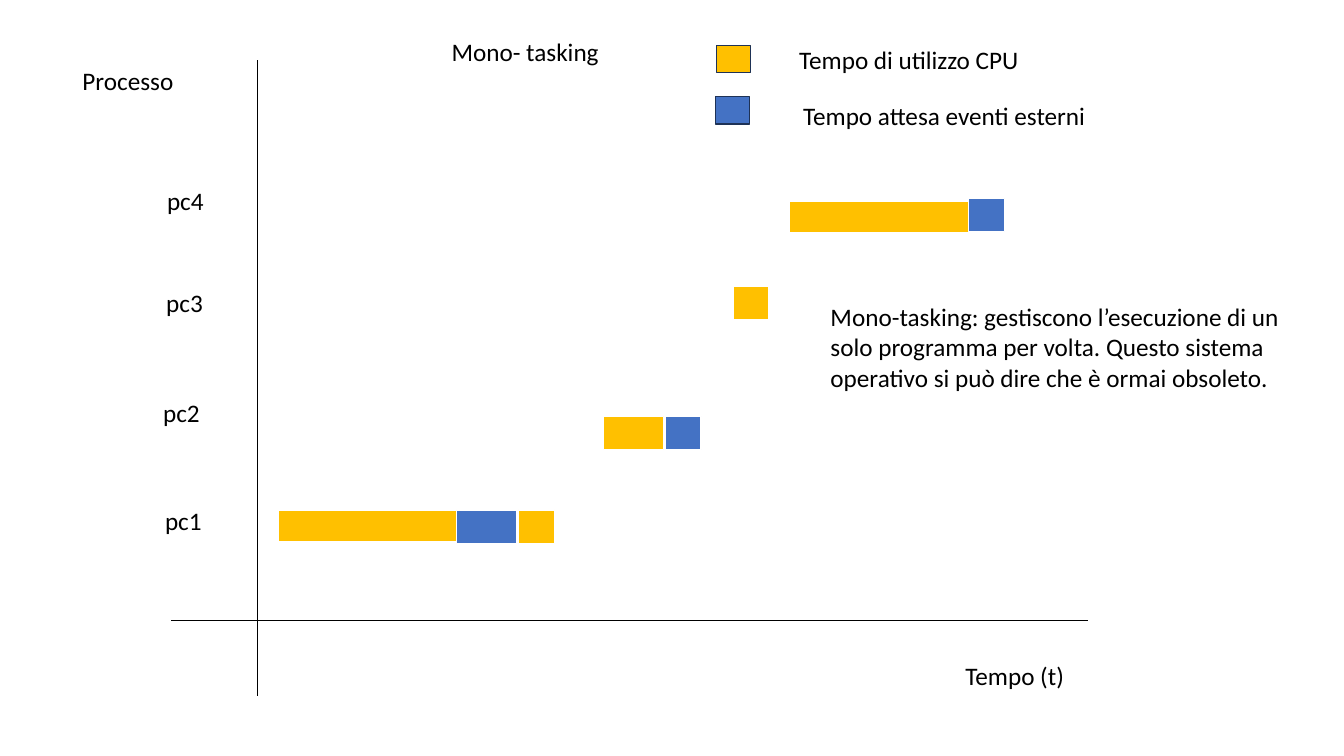
"""Timeline of four processes on a mono-tasking system."""
from dataclasses import dataclass

from lxml.etree import SubElement
from pptx import Presentation
from pptx.dml.color import RGBColor as Color
from pptx.enum.shapes import MSO_CONNECTOR as Connector, MSO_SHAPE as Preset
from pptx.enum.text import MSO_AUTO_SIZE as AutoSize
from pptx.oxml.ns import qn
from pptx.util import Cm, Pt


@dataclass(frozen=True)
class Theme:
    """Colours, font and sizes of the slide."""
    cpu: str = "FFC000"
    wait: str = "4472C4"
    ink: str = "000000"
    gap: str = "FFFFFF"
    key_edge: str = "1E3256"
    font: str = "Calibri"
    text_size: float = 18
    axis_width: float = 0.5
    edge_width: float = 1


def write(para, text, *, font, size, color):
    """Add a formatted span of text to a paragraph."""
    span = para.add_run()
    span.text = text
    span.font.name = font
    span.font.size = Pt(size)
    span.font.color.rgb = Color.from_string(color)


class Diagram:
    """Draws the elements of the timeline on one page."""

    def __init__(self, page, theme):
        """Keep the page and its style."""
        self.page = page
        self.theme = theme

    def axis(self, x1, y1, x2, y2):
        """Draw a thin straight axis."""
        line = self.page.shapes.add_connector(
            Connector.STRAIGHT, Cm(x1), Cm(y1), Cm(x2), Cm(y2))
        line.line.color.rgb = Color.from_string(self.theme.ink)
        line.line.width = Pt(self.theme.axis_width)
        SubElement(line._element.spPr, qn("a:effectLst"))

    def block(self, left, top, width, height, fill, edge):
        """Draw a filled, outlined rectangle."""
        shape = self.page.shapes.add_shape(
            Preset.RECTANGLE, Cm(left), Cm(top), Cm(width), Cm(height))
        shape.shadow.inherit = False
        shape.fill.solid()
        shape.fill.fore_color.rgb = Color.from_string(fill)
        shape.line.color.rgb = Color.from_string(edge)
        shape.line.width = Pt(self.theme.edge_width)

    def label(self, text, left, top, width, height=1.02):
        """Place a wrapped text box."""
        box = self.page.shapes.add_textbox(Cm(left), Cm(top), Cm(width), Cm(height))
        frame = box.text_frame
        frame.word_wrap = True
        frame.auto_size = AutoSize.SHAPE_TO_FIT_TEXT
        write(frame.paragraphs[0], text, font=self.theme.font,
              size=self.theme.text_size, color=self.theme.ink)


THEME = Theme()
LONG, MEDIUM, SHORT = 4.52, 1.52, 0.91
LONG_HEIGHT, BAR_HEIGHT = 0.79, 0.84
KEY_WIDTH, KEY_HEIGHT = 0.86, 0.69

LABELS = [
    ("pc1", 3.91, 12.6, 2.03),
    ("pc2", 3.86, 9.88, 2.92),
    ("pc3", 3.94, 7.11, 2.36),
    ("pc4", 3.96, 4.55, 2.57),
    ("Mono- tasking", 11.13, 0.79, 4.9),
    ("Tempo di utilizzo CPU", 19.89, 0.99, 6.88),
    ("Tempo attesa eventi esterni", 19.99, 2.41, 8.53),
    ("Tempo (t)", 24.08, 16.51, 6.71),
    ("Processo", 1.83, 1.52, 4.34),
    ("Mono-tasking: gestiscono l’esecuzione di un solo programma per volta. "
     "Questo sistema operativo si può dire che è ormai obsoleto.",
     20.68, 7.47, 12.14, 2.57),
]
BARS = [
    (7.01, 12.85, LONG, THEME.cpu),
    (11.51, 12.85, MEDIUM, THEME.wait),
    (13.06, 12.85, SHORT, THEME.cpu),
    (15.21, 10.49, MEDIUM, THEME.cpu),
    (16.76, 10.49, SHORT, THEME.wait),
    (18.47, 7.21, SHORT, THEME.cpu),
    (19.89, 5.08, LONG, THEME.cpu),
    (24.41, 5, SHORT, THEME.wait),
]
KEYS = [(18.06, 1.14, THEME.cpu), (18.03, 2.44, THEME.wait)]


def main():
    """Build and save the deck."""
    deck = Presentation()
    deck.slide_width, deck.slide_height = Cm(33.87), Cm(19.05)
    diagram = Diagram(deck.slides.add_slide(deck.slide_layouts[6]), THEME)
    diagram.axis(6.48, 1.52, 6.48, 17.53)
    diagram.axis(4.32, 15.62, 27.43, 15.62)
    for left, top, width, fill in BARS:
        height = LONG_HEIGHT if width == LONG else BAR_HEIGHT
        diagram.block(left, top, width, height, fill, THEME.gap)
    for left, top, fill in KEYS:
        diagram.block(left, top, KEY_WIDTH, KEY_HEIGHT, fill, THEME.key_edge)
    for label in LABELS:
        diagram.label(*label)
    deck.save("out.pptx")


if __name__ == "__main__":
    main()
